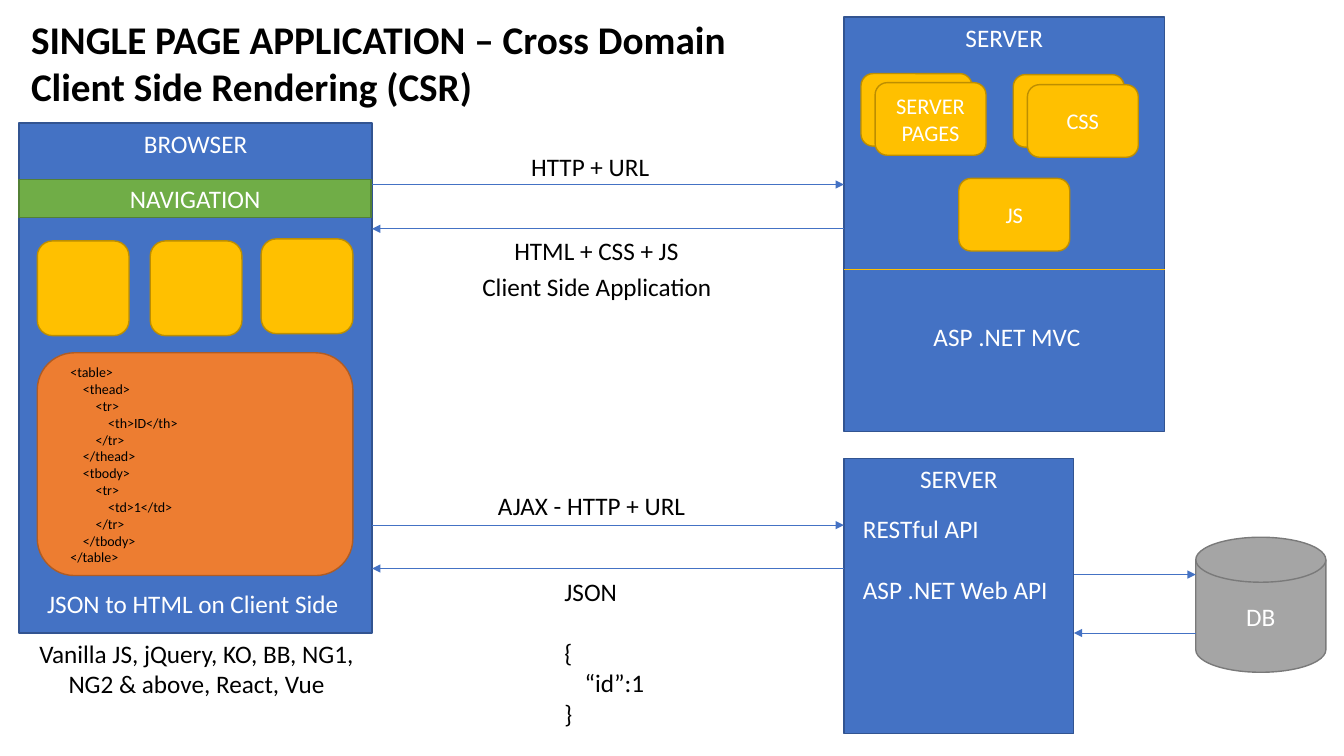
"""Builds the slide on a cross-domain single page application with client side rendering."""
from lxml.etree import SubElement
from pptx import Presentation
from pptx.dml.color import RGBColor
from pptx.enum.shapes import MSO_CONNECTOR, MSO_SHAPE
from pptx.enum.text import MSO_ANCHOR, MSO_AUTO_SIZE, PP_ALIGN
from pptx.oxml.ns import qn
from pptx.util import Inches, Pt

deck = Presentation()
deck.slide_width, deck.slide_height = Inches(13.33), Inches(7.5)
slide = deck.slides.add_slide(deck.slide_layouts[6])
column, row = deck.slide_width / 133.3, deck.slide_height / 75

BLUE, GOLD, ORANGE, GREEN, GREY = "4472C4", "FFC000", "ED7D31", "70AD47", "A5A5A5"
EDGE = {BLUE: "325491", GOLD: "BD8E00", ORANGE: "AF5C24", GREEN: "538035", GREY: "7A7A7A"}
WHITE, BLACK = "FFFFFF", "000000"
LEFT, CENTER = PP_ALIGN.LEFT, PP_ALIGN.CENTER
TOP, MIDDLE = MSO_ANCHOR.TOP, MSO_ANCHOR.MIDDLE
RECT, ROUND = MSO_SHAPE.RECTANGLE, MSO_SHAPE.ROUNDED_RECTANGLE


def on_grid(*cells):
    """Turn alternating columns and rows into slide lengths."""
    return [round(cell * (row if i % 2 else column)) for i, cell in enumerate(cells)]


def write(frame, lines, ink, size, align, frame_format):
    """Fill a text frame with one paragraph per line."""
    for name, value in frame_format.items():
        setattr(frame, name, value)
    for i, line in enumerate(lines):
        paragraph = frame.paragraphs[0] if i == 0 else frame.add_paragraph()
        paragraph.text, paragraph.alignment = line, align
        look = {"name": "Calibri", "size": Pt(size), "bold": size == 28}
        for name, value in look.items():
            setattr(paragraph.runs[0].font, name, value)
        paragraph.runs[0].font.color.rgb = RGBColor.from_string(ink)


page_stack = [(85.4, 7.3, ""), (86.8, 8.2, "SERVER PAGES")]
style_stack = [(100.5, 7.4, ""), (101.9, 8.4, "CSS")]
server_files = [(ROUND, (x, y, 11, 7.2), GOLD, label, 16, MIDDLE)
                for x, y, label in page_stack + style_stack + [(95.1, 17.7, "JS")]]
widgets = [(ROUND, (x, y, 9.1, 9.4), GOLD, "", 18, MIDDLE)
           for x, y in [(3.7, 23.9), (14.9, 23.9), (25.9, 23.7)]]
blocks = [
    (RECT, (83.7, 1.7, 31.8, 41.1), BLUE, "SERVER", 18, TOP),
    *server_files,
    (RECT, (1.9, 12.2, 35, 50.6), BLUE, "BROWSER", 18, TOP),
    *widgets,
    (ROUND, (3.7, 35, 31.3, 22.1), ORANGE, "", 18, MIDDLE),
    (RECT, (1.9, 17.8, 34.9, 3.8), GREEN, "NAVIGATION", 18, MIDDLE),
    (RECT, (83.7, 45.5, 22.8, 27.3), BLUE, "SERVER", 18, TOP),
    (MSO_SHAPE.FLOWCHART_MAGNETIC_DISK, (118.6, 53.3, 12.9, 13.4), GREY, "DB", 18, MIDDLE),
]
for outline, place, fill, label, size, anchor in blocks:
    block = slide.shapes.add_shape(outline, *on_grid(*place))
    block.shadow.inherit = False
    block.fill.solid()
    block.fill.fore_color.rgb = RGBColor.from_string(fill)
    block.line.color.rgb = RGBColor.from_string(EDGE[fill])
    block.line.width = Pt(1)
    if label:
        write(block.text_frame, [label], WHITE, size, CENTER,
              {"word_wrap": True, "vertical_anchor": anchor})

browser_edge, server_edge, api_edge, database_edge = 36.9, 83.7, 106.5, 118.6
links = [
    (server_edge, 115.5, 26.7, GOLD),
    (browser_edge, server_edge, 18.3, BLUE),
    (server_edge, browser_edge, 22.7, BLUE),
    (browser_edge, server_edge, 52.1, BLUE),
    (server_edge, browser_edge, 56.4, BLUE),
    (api_edge, database_edge, 57, BLUE),
    (database_edge, api_edge, 62.8, BLUE),
]
for start, end, level, ink in links:
    link = slide.shapes.add_connector(MSO_CONNECTOR.STRAIGHT, *on_grid(start, level, end, level))
    link.line.color.rgb = RGBColor.from_string(ink)
    link.line.width = Pt(0.5)
    if ink == BLUE:
        SubElement(link.line._get_or_add_ln(), qn("a:tailEnd"), type="triangle")
    SubElement(link._element.spPr, qn("a:effectLst"))

markup = """<table>
    <thead>
        <tr>
            <th>ID</th>
        </tr>
    </thead>
    <tbody>
        <tr>
            <td>1</td>
        </tr>
    </tbody>
</table>""".split("\n")
captions = [
    ((2.1, 1, 71.7, 10.4),
     ["SINGLE PAGE APPLICATION – Cross Domain", "Client Side Rendering (CSR)"], BLACK, 28, LEFT),
    ((91.6, 31.4, 17.8, 4), ["ASP .NET MVC"], WHITE, 18, LEFT),
    ((51.7, 14.5, 13.9, 4), ["HTTP + URL"], BLACK, 18, LEFT),
    ((49.9, 22.9, 18.5, 4), ["HTML + CSS + JS"], BLACK, 18, CENTER),
    ((46.7, 26.4, 25, 4), ["Client Side Application"], BLACK, 18, CENTER),
    ((48.4, 48.2, 20.8, 4), ["AJAX - HTTP + URL"], BLACK, 18, LEFT),
    ((84.6, 50.4, 20.5, 10.1), ["RESTful API", "ASP .NET Web API"], WHITE, 18, LEFT),
    ((55, 56.7, 10, 16.2), ["JSON", "{", "“id”:1", "}"], BLACK, 18, LEFT),
    ((3.7, 57.9, 31.3, 4), ["JSON to HTML on Client Side"], WHITE, 18, LEFT),
    ((6, 35.6, 24.4, 21.2), markup, BLACK, 10, LEFT),
    ((2.7, 62.8, 33.6, 7.1),
     ["Vanilla JS, jQuery, KO, BB, NG1,", "NG2 & above, React, Vue"], BLACK, 18, CENTER),
]
for place, lines, ink, size, align in captions:
    caption = slide.shapes.add_textbox(*on_grid(*place)).text_frame
    write(caption, lines, ink, size, align,
          {"word_wrap": lines is markup, "auto_size": MSO_AUTO_SIZE.SHAPE_TO_FIT_TEXT})
    for paragraph in caption.paragraphs:
        if paragraph.text in ("ASP .NET Web API", "{"):
            paragraph.space_before = Pt(22)
        if paragraph.text == "“id”:1":
            paragraph._p.get_or_add_pPr().set("marL", str(Inches(0.2)))

deck.save("out.pptx")
